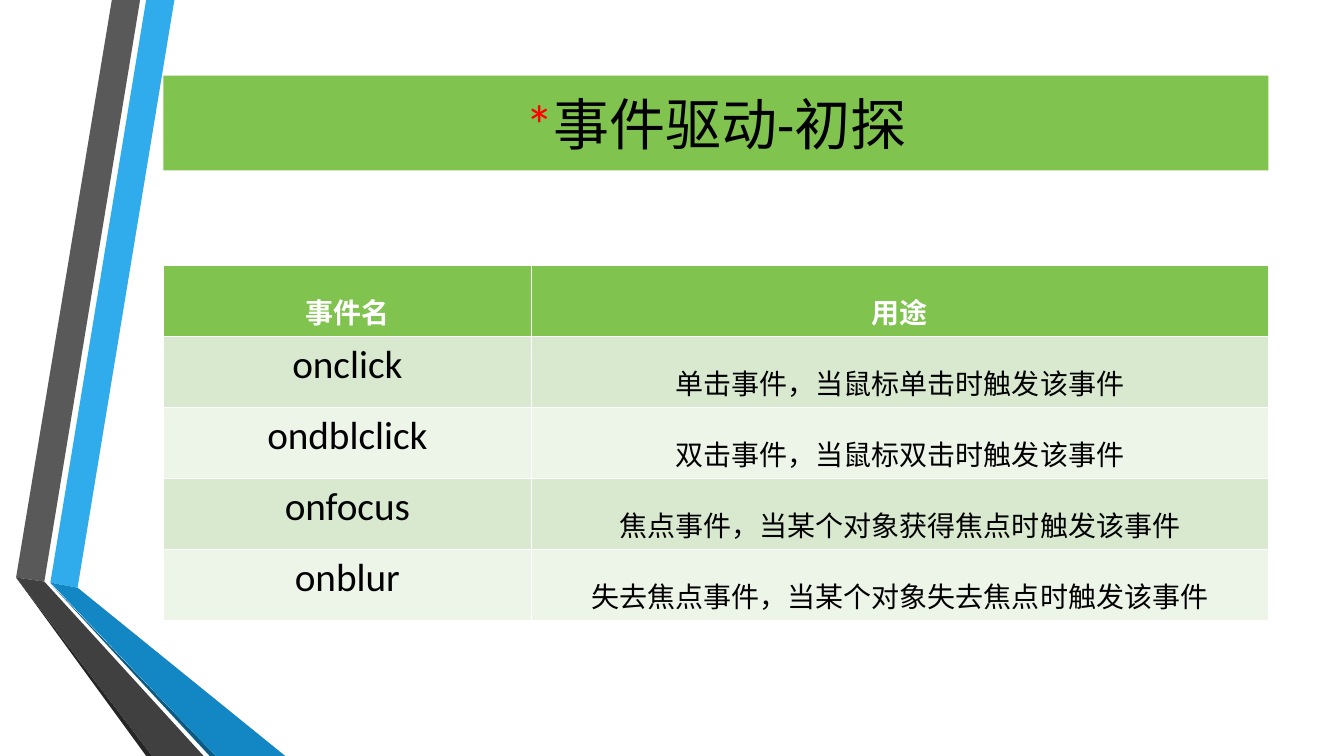
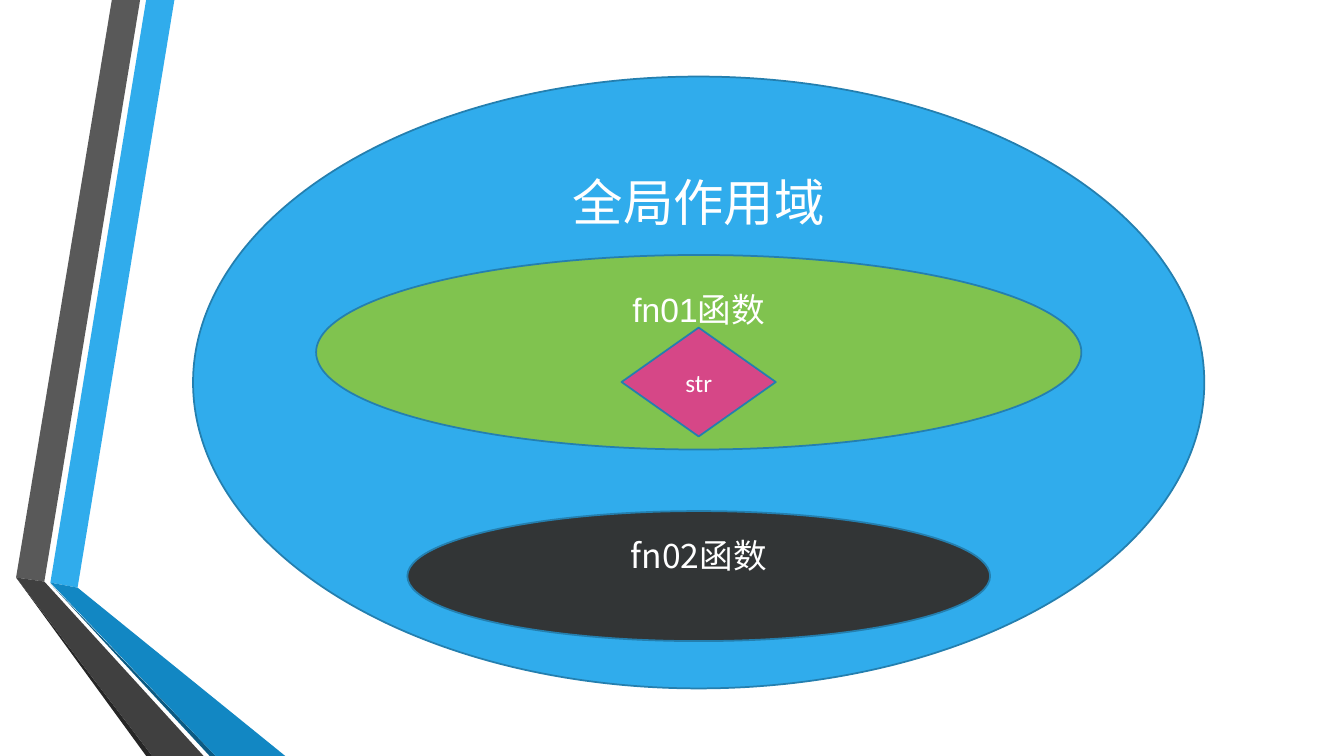
from lxml.etree import SubElement
from pptx import Presentation
from pptx.dml.color import RGBColor
from pptx.enum.shapes import MSO_SHAPE
from pptx.enum.text import MSO_ANCHOR, MSO_AUTO_SIZE, PP_ALIGN
from pptx.oxml.ns import qn
from pptx.util import Inches, Pt

COLORS = {
    "blue": "30ACEC", "blue_mid": "1287C3", "blue_dark": "0C5A82",
    "gray": "595959", "gray_mid": "404040", "gray_dark": "262626",
    "green": "80C34F", "green_light": "D8E9D0", "green_pale": "EDF5E9",
    "outline": "247FAF", "pink": "D64787", "charcoal": "323536",
    "red": "FF0000", "black": "000000", "white": "FFFFFF",
}
CJK = "Noto Sans CJK SC"
LATIN = "Calibri"


def paint(sp, color, line=None):
    """Give a shape a solid fill, an optional outline and no shadow."""
    sp.fill.solid()
    sp.fill.fore_color.rgb = RGBColor.from_string(COLORS[color])
    sp.shadow.inherit = False
    if line:
        sp.line.color.rgb = RGBColor.from_string(COLORS[line])
        sp.line.width = Pt(1.25)
    else:
        sp.line.fill.background()


def style_text(p, size, font, *colors, bold=False):
    """Centre a paragraph and format its runs, one colour per run."""
    p.alignment = PP_ALIGN.CENTER
    for r, color in zip(p.runs, colors):
        r.font.size = Pt(size)
        r.font.name = font
        r.font.bold = bold
        r.font.color.rgb = RGBColor.from_string(COLORS[color])
        SubElement(r.font._element, qn("a:ea")).set("typeface", CJK)


prs = Presentation()
prs.slide_width, prs.slide_height = Inches(13.33), Inches(7.5)

# Slide 1: event table
s = prs.slides.add_slide(prs.slide_layouts[5])

# Folded ribbons, kept on the master so every slide shows them
RIBBONS = [
    ("blue", [(0.5, 5.78), (0.77, 5.83), (1.73, 0), (1.45, 0)]),
    ("gray", [(1.39, 0), (1.11, 0), (0.16, 5.73), (0.44, 5.77)]),
    ("gray_dark", [(0.16, 5.73), (1.45, 7.5), (1.51, 7.5)]),
    ("blue_dark", [(0.5, 5.79), (2.08, 7.5), (2.14, 7.5)]),
    ("blue_mid", [(0.5, 5.78), (2.14, 7.5), (2.83, 7.5), (0.77, 5.83)]),
    ("gray_mid", [(2.02, 7.5), (0.44, 5.77), (0.16, 5.73), (1.51, 7.5)]),
]
master_tree = prs.slide_master.element.cSld.spTree
for color, corners in RIBBONS:
    points = [(Inches(x), Inches(y)) for x, y in corners]
    builder = s.shapes.build_freeform(*points[0])
    builder.add_line_segments(points[1:], close=True)
    ribbon = builder.convert_to_shape()
    paint(ribbon, color)
    master_tree.append(ribbon.element)

title = s.shapes.title
title.left, title.top = Inches(1.62), Inches(0.75)
title.width, title.height = Inches(10.96), Inches(0.94)
title.fill.solid()
title.fill.fore_color.rgb = RGBColor.from_string(COLORS["green"])
tf = title.text_frame
tf.auto_size = MSO_AUTO_SIZE.NONE
tf.vertical_anchor = MSO_ANCHOR.MIDDLE
p = tf.paragraphs[0]
for text in ("*", "事件驱动-初探"):
    p.add_run().text = text
style_text(p, 40, LATIN, "red", "black")

EVENTS = [
    ("事件名", "用途"),
    ("onclick", "单击事件，当鼠标单击时触发该事件"),
    ("ondblclick", "双击事件，当鼠标双击时触发该事件"),
    ("onfocus", "焦点事件，当某个对象获得焦点时触发该事件"),
    ("onblur", "失去焦点事件，当某个对象失去焦点时触发该事件"),
]
table = s.shapes.add_table(len(EVENTS), 2, Inches(1.62), Inches(2.63),
                           Inches(10.96), Inches(3.35)).table
table.columns[0].width, table.columns[1].width = Inches(3.65), Inches(7.31)
for i, row in enumerate(EVENTS):
    header = i == 0
    fill = "green" if header else ("green_pale", "green_light")[i % 2]
    for j, text in enumerate(row):
        cell = table.cell(i, j)
        cell.fill.solid()
        cell.fill.fore_color.rgb = RGBColor.from_string(COLORS[fill])
        cell.text_frame.text = text
        p = cell.text_frame.paragraphs[0]
        if header or j == 1:
            p.line_spacing = 1.5
            style_text(p, 20, CJK, "white" if header else "black", bold=header)
        else:
            style_text(p, 28, LATIN, "black")

# Slide 2: nested scopes
s = prs.slides.add_slide(prs.slide_layouts[6])
OVAL, DIAMOND = MSO_SHAPE.OVAL, MSO_SHAPE.DIAMOND
TOP, MIDDLE = MSO_ANCHOR.TOP, MSO_ANCHOR.MIDDLE
CENTER_X = 6.93
SCOPES = [
    # shape, top, width, height, fill, text, size, font, anchor
    (OVAL, 0.76, 10.03, 6.07, "blue", "全局作用域", 36, CJK, TOP),
    (OVAL, 2.53, 7.59, 1.93, "green", "fn01函数", 24, "Arial", TOP),
    (DIAMOND, 3.25, 1.53, 1.08, "pink", "str", 18, LATIN, MIDDLE),
    (OVAL, 5.07, 5.78, 1.29, "charcoal", "fn02函数", 24, CJK, TOP),
]
for shape, top, width, height, fill, text, size, font, anchor in SCOPES:
    sp = s.shapes.add_shape(shape, Inches(CENTER_X - width / 2), Inches(top),
                            Inches(width), Inches(height))
    paint(sp, fill, "outline")
    tf = sp.text_frame
    tf.text = text
    tf.word_wrap = True
    tf.vertical_anchor = anchor
    style_text(tf.paragraphs[0], size, font, "white")

prs.save("out.pptx")
